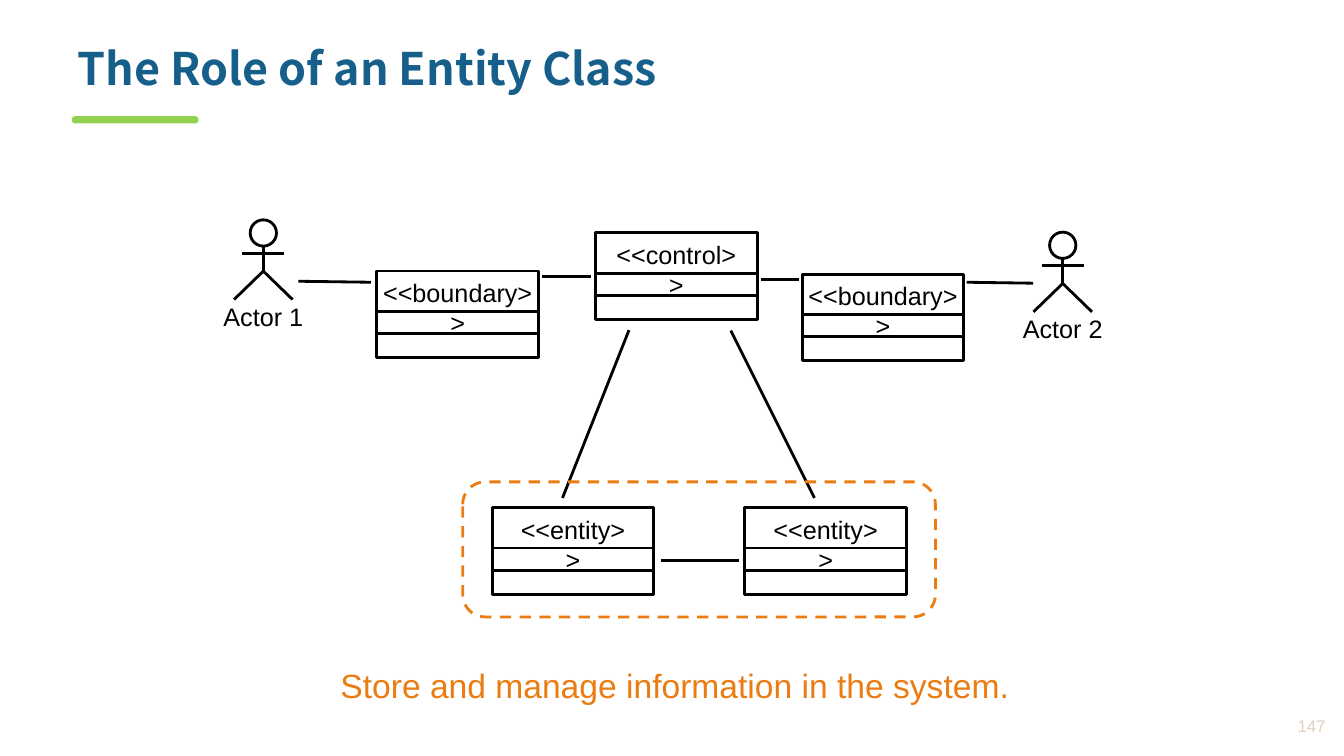
"""Build the slide on the role of an entity class."""
from pptx import Presentation
from pptx.dml.color import RGBColor
from pptx.enum import dml, shapes, text
from pptx.oxml import xmlchemy
from pptx.util import Pt

COLORS = {"title": "175F8B", "accent": "92D050", "orange": "EB7C11",
          "ink": "000000", "number": "E0CFBD"}


def write(box, words, size=18, color="ink", font="Arial", bold=False,
          align=text.PP_ALIGN.CENTER, anchor=text.MSO_ANCHOR.TOP,
          inset=(0, 0), spacing=None):
    frame = box.text_frame
    frame.word_wrap = True
    frame.auto_size = text.MSO_AUTO_SIZE.NONE
    frame.vertical_anchor = anchor
    frame.margin_left = frame.margin_right = Pt(inset[0])
    frame.margin_top = frame.margin_bottom = Pt(inset[1])
    para = frame.paragraphs[0]
    para.alignment = align
    para.line_spacing = spacing
    span = para.add_run()
    span.text = words
    span.font.name = font
    span.font.size = Pt(size)
    span.font.bold = bold
    span.font.color.rgb = RGBColor.from_string(COLORS[color])


deck = Presentation()
deck.slide_width, deck.slide_height = Pt(960), Pt(540)
page = deck.slides.add_slide(deck.slide_layouts[5])
items = page.shapes

bar = items.add_shape(shapes.MSO_SHAPE.ROUND_2_SAME_RECTANGLE,
                      Pt(51.2), Pt(83), Pt(90.7), Pt(5.2))
bar.adjustments[0] = bar.adjustments[1] = 0.5
bar.shadow.inherit = False
bar.fill.solid()
bar.fill.fore_color.rgb = RGBColor.from_string(COLORS["accent"])
bar.line.fill.background()

title = items.title
title.left, title.top, title.width, title.height = Pt(48.2), Pt(29.5), Pt(883.4), Pt(54)
write(title, "The Role of an Entity Class", size=32, color="title",
      font="Noto Sans CJK SC", bold=True, align=text.PP_ALIGN.LEFT,
      inset=(7.2, 3.6), spacing=0.9)

caption = items.add_textbox(Pt(187.9), Pt(471.6), Pt(588.2), Pt(36))
write(caption, "Store and manage information in the system.", size=24,
      color="orange", inset=(7.2, 3.6))

outlines = []
lines = [
    (213.1, 200.9, 265, 201.6),
    (387.4, 197.3, 421.9, 197.3),
    (543.6, 199.4, 571, 199.4),
    (690.5, 201.6, 738, 202.3),
    (449.3, 235.8, 401.8, 355.7),
    (522, 236.2, 581.8, 355.7),
    (472.3, 400.3, 527.8, 400.3),
]

for name, center, top in [("Actor 1", 188.1, 157), ("Actor 2", 759.1, 165.8)]:
    outlines.append(items.add_shape(shapes.MSO_SHAPE.OVAL, Pt(center - 9.4),
                                    Pt(top), Pt(18.8), Pt(18.8)))
    lines.append((center, top + 18.8, center, top + 36.7))
    lines.append((center - 15, top + 23.8, center + 15, top + 23.8))
    legs = items.build_freeform(Pt(center - 20.9), Pt(top + 57))
    legs.add_line_segments([(Pt(center), Pt(top + 36.7)),
                            (Pt(center + 20.9), Pt(top + 57))], close=False)
    outlines.append(legs.convert_to_shape())
    label = items.add_textbox(Pt(center - 37), Pt(top + 58), Pt(74), Pt(21.6))
    write(label, name)

CLASS_WIDTH, CLASS_HEIGHT = 115.5, 62
for stereotype, center, top, width in [
    ("<<boundary>>", 326.9, 193.6, 112),
    ("<<control>>", 483.1, 166.3, 91),
    ("<<boundary>>", 630.7, 195.8, 112),
    ("<<entity>>", 409.3, 362.5, 80),
    ("<<entity>>", 589.8, 362.5, 80),
]:
    left = center - CLASS_WIDTH / 2
    outlines.append(items.add_shape(shapes.MSO_SHAPE.RECTANGLE, Pt(left), Pt(top),
                                    Pt(CLASS_WIDTH), Pt(CLASS_HEIGHT)))
    for offset in (29, 44.8):
        lines.append((left, top + offset, left + CLASS_WIDTH, top + offset))
    label = items.add_textbox(Pt(center - width / 2), Pt(top + 4.5), Pt(width), Pt(43))
    write(label, stereotype)

for line in lines:
    connector = items.add_connector(shapes.MSO_CONNECTOR.STRAIGHT, *map(Pt, line))
    connector.line.color.rgb = RGBColor.from_string(COLORS["ink"])
    connector.line.width = Pt(2)
    effects = xmlchemy.OxmlElement("a:effectLst")
    connector._element.spPr.append(effects)

entities = items.add_shape(shapes.MSO_SHAPE.ROUNDED_RECTANGLE,
                           Pt(330.5), Pt(344.2), Pt(337.7), Pt(96.5))
entities.adjustments[0] = 0.167
outlines.append(entities)

for outline in outlines:
    outline.shadow.inherit = False
    outline.fill.background()
    outline.line.color.rgb = RGBColor.from_string(COLORS["ink"])
    outline.line.width = Pt(2)

entities.line.color.rgb = RGBColor.from_string(COLORS["orange"])
entities.line.dash_style = dml.MSO_LINE.DASH

number = items.add_textbox(Pt(872.6), Pt(504.7), Pt(81.4), Pt(27.4))
write(number, "147", size=12, color="number", align=text.PP_ALIGN.RIGHT,
      anchor=text.MSO_ANCHOR.MIDDLE, inset=(7.2, 3.6))

deck.save("out.pptx")
